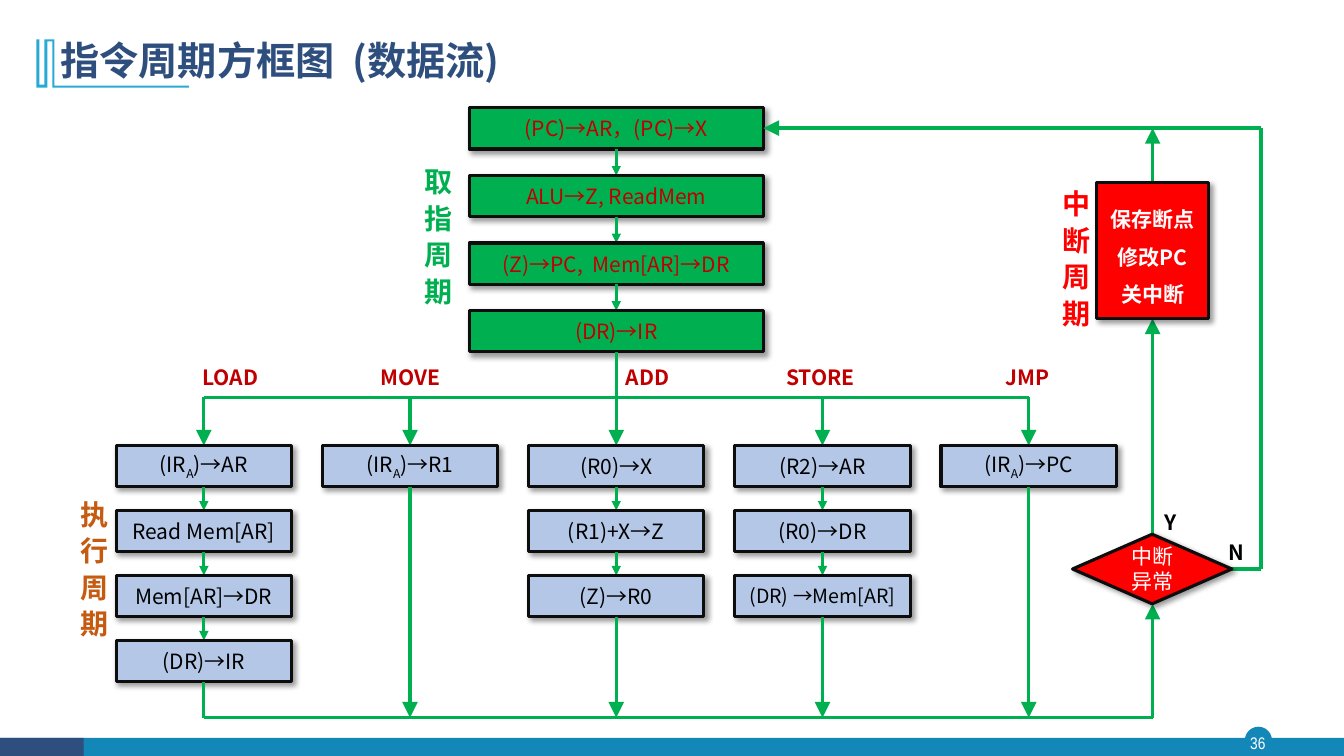
"""Build the instruction cycle flow chart slide (data flow view)."""
from dataclasses import dataclass

from lxml import etree
from pptx import Presentation
from pptx.dml.color import RGBColor
from pptx.enum.shapes import MSO_CONNECTOR, MSO_SHAPE
from pptx.enum.text import MSO_ANCHOR, MSO_AUTO_SIZE, PP_ALIGN
from pptx.oxml.ns import qn
from pptx.util import Pt

RECTANGLE, OVAL = MSO_SHAPE.RECTANGLE, MSO_SHAPE.OVAL
DECISION = MSO_SHAPE.FLOWCHART_DECISION
STRAIGHT = MSO_CONNECTOR.STRAIGHT
LEFT, CENTER = PP_ALIGN.LEFT, PP_ALIGN.CENTER
TOP, MIDDLE = MSO_ANCHOR.TOP, MSO_ANCHOR.MIDDLE
GROW = MSO_AUTO_SIZE.SHAPE_TO_FIT_TEXT


@dataclass(frozen=True)
class Theme:
    """Colours, fonts and type sizes."""
    font: str = "Noto Sans CJK SC"
    number_font: str = "Arial Narrow"
    navy: str = "2E4E7E"
    teal: str = "1387B7"
    sky: str = "28A9D6"
    green: str = "00B050"
    blue: str = "B4C7E7"
    red: str = "FF0000"
    crimson: str = "C00000"
    orange: str = "C55A11"
    outline: str = "0D0D0D"
    black: str = "000000"
    white: str = "FFFFFF"
    title_size: float = 28
    phase_size: float = 20
    body_size: float = 15
    small_size: float = 14
    number_size: float = 12
    line_width: float = 2.25


THEME = Theme()
SUBSCRIPT = {"baseline": "-25000"}
SPREAD = {"spc": "600"}

TITLE = [("指令周期方框图", {}), (" ", {"spc": "630"}), ("(数据流)", {})]
PAGE_NUMBER = "36"
FETCH_STEPS = [
    "(PC)→AR，(PC)→X",
    "ALU→Z, ReadMem",
    [("(Z)→PC,", {}), (" ", {"spc": "340"}), ("Mem[AR]→DR", {})],
    "(DR)→IR",
]


def ir_address(target):
    """Return the spans that move the address part of IR to a target."""
    return [("(IR", {}), ("A", SUBSCRIPT), (")→" + target, {})]


BRANCHES = [
    ("LOAD", 137.5, [ir_address("AR"), "Read Mem[AR]", "Mem[AR]→DR", "(DR)→IR"]),
    ("MOVE", 265, [ir_address("R1")]),
    ("ADD", 440, ["(R0)→X", "(R1)+X→Z", "(Z)→R0"]),
    ("STORE", 554.4, ["(R2)→AR", "(R0)→DR", "(DR) →Mem[AR]"]),
    ("JMP", 711.4, [ir_address("PC")]),
]
SMALL_STEPS = ["(DR) →Mem[AR]"]
INTERRUPT_STEPS = ["保存断点", "修改PC", "关中断"]
DECISION_TEXT = "中断异常"
PHASES = [
    ("执行周期", 43.2, 350.6, THEME.orange),
    ("取指周期", 289.4, 113, THEME.green),
    ("中断周期", 745.2, 128.9, THEME.red),
]
ANSWERS = [("Y", 824.4, 360.7), ("N", 870.5, 381.6)]
ORNAMENT = [
    (38.9, 28.1), (38.9, 61.2), (134.9, 61.2), (134.9, 62.6), (37.4, 62.6),
    (37.4, 29.5), (33.8, 29.5), (33.8, 62.6), (25.9, 62.6), (25.9, 28.1),
    (28.1, 28.1), (28.1, 60.5), (31.7, 60.5), (31.7, 28.1),
]

STEP_HEIGHT = 29.5
FETCH_WIDTH, FETCH_TOP, FETCH_PITCH = 210.2, 77, 48.3
BRANCH_WIDTH, BRANCH_TOP, BRANCH_PITCH = 125.3, 318.2, 46.4
FIRST_CENTER, CENTER_PITCH = 145.6, 147.3
BUS_Y, COLLECT_Y, RETURN_Y = 283.7, 512.6, 91.5
INTERRUPT_X, RETURN_X = 823.3, 900.7
INTERRUPT_BOX = (783.4, 130.3, 79.9, 97.2)
DECISION_BOX = (766.1, 381.6, 113.8, 49.7)


def rgb(colour):
    return RGBColor.from_string(colour)


def write(frame, lines, size, colour, bold=False, align=CENTER, anchor=MIDDLE,
          spacing=None, font=THEME.font):
    """Fill a text frame; a line is a string or a list of (text, attributes)."""
    frame.vertical_anchor = anchor
    for index, line in enumerate(lines):
        para = frame.add_paragraph() if index else frame.paragraphs[0]
        para.alignment = align
        if spacing:
            para.line_spacing = spacing
        for text, attributes in [(line, {})] if isinstance(line, str) else line:
            span = para.add_run()
            span.text = text
            span.font.size, span.font.bold, span.font.name = Pt(size), bold, font
            span.font.color.rgb = rgb(colour)
            properties = span.font._element
            etree.SubElement(properties, qn("a:ea"), typeface=font)
            for name, value in attributes.items():
                properties.set(name, value)


def add_plain(page, kind, area, fill):
    shape = page.shapes.add_shape(kind, *map(Pt, area))
    shape.shadow.inherit = False
    shape.fill.solid()
    shape.fill.fore_color.rgb = rgb(fill)
    shape.line.fill.background()
    return shape


def add_box(page, kind, area, fill, lines, colour, **style):
    """Add an outlined shape with a soft shadow and centred text."""
    box = add_plain(page, kind, area, fill)
    box.line.color.rgb = rgb(THEME.outline)
    box.line.width = Pt(THEME.line_width)
    effects = box._element.spPr.find(qn("a:effectLst"))
    shadow = etree.SubElement(effects, qn("a:outerShdw"), blurRad=str(Pt(4)), dist=str(Pt(3)),
                              dir="2700000", algn="tl", rotWithShape="0")
    shade = etree.SubElement(shadow, qn("a:srgbClr"), val=THEME.black)
    etree.SubElement(shade, qn("a:alpha"), val="40000")
    box.text_frame.word_wrap = True
    write(box.text_frame, lines, style.pop("size", THEME.body_size), colour, **style)


def add_label(page, text, area, size, colour, vertical=False):
    frame = page.shapes.add_textbox(*map(Pt, area)).text_frame
    frame.word_wrap = not vertical
    frame.auto_size = GROW
    if vertical:
        frame._txBody.bodyPr.set("vert", "eaVert")
    write(frame, [[(text, SPREAD if vertical else {})]], size, colour, True, LEFT, TOP)


def add_flow(page, start, end, head=None):
    """Draw a green line whose arrowhead size is None, med or lg."""
    line = page.shapes.add_connector(STRAIGHT, *map(Pt, start + end))
    line.line.color.rgb = rgb(THEME.green)
    line.line.width = Pt(THEME.line_width)
    if head:
        etree.SubElement(line.line._get_or_add_ln(), qn("a:tailEnd"),
                         type="triangle", w=head, len=head)
    etree.SubElement(line._element.spPr, qn("a:effectLst"))


def add_steps(page, steps, center, top, pitch, width, fill, colour):
    """Stack step boxes joined by short arrows and return the lowest edge."""
    for index, step in enumerate(steps):
        y = top + index * pitch
        if index:
            add_flow(page, (center, y - pitch + STEP_HEIGHT), (center, y), "med")
        size = THEME.small_size if step in SMALL_STEPS else THEME.body_size
        add_box(page, RECTANGLE, (center - width / 2, y, width, STEP_HEIGHT),
                fill, [step], colour, size=size)
    return y + STEP_HEIGHT


def add_frame(page):
    add_plain(page, OVAL, (889.2, 519.1, 19.4, 19.4), THEME.teal)
    add_plain(page, RECTANGLE, (0, 527, 960, 13), THEME.teal)
    add_plain(page, RECTANGLE, (0, 527, 59.8, 13), THEME.navy)
    number = page.shapes.add_textbox(*map(Pt, (887, 519.1, 23, 22.3))).text_frame
    number.margin_left = number.margin_right = number.margin_top = number.margin_bottom = 0
    write(number, [PAGE_NUMBER], THEME.number_size, THEME.white, font=THEME.number_font)
    points = [(Pt(x), Pt(y)) for x, y in ORNAMENT]
    builder = page.shapes.build_freeform(*points[0])
    builder.add_line_segments(points[1:], close=True)
    ornament = builder.convert_to_shape()
    ornament.shadow.inherit = False
    ornament.fill.solid()
    ornament.fill.fore_color.rgb = rgb(THEME.sky)
    ornament.line.fill.background()
    title = page.shapes.title
    title.left, title.top, title.width, title.height = map(Pt, (36, 20.2, 828, 49))
    write(title.text_frame, [TITLE], THEME.title_size, THEME.navy, True, LEFT, spacing=0.9)


def add_cycle(page):
    centers = [FIRST_CENTER + i * CENTER_PITCH for i in range(len(BRANCHES))]
    middle = centers[len(centers) // 2]
    fetch_end = add_steps(page, FETCH_STEPS, middle, FETCH_TOP, FETCH_PITCH, FETCH_WIDTH,
                          THEME.green, THEME.crimson)
    add_flow(page, (middle, fetch_end), (middle, BUS_Y))
    add_flow(page, (centers[0], BUS_Y), (centers[-1], BUS_Y))
    for center, (name, left, steps) in zip(centers, BRANCHES):
        add_label(page, name, (left, 257, 80, 24), THEME.body_size, THEME.crimson)
        add_flow(page, (center, BUS_Y), (center, BRANCH_TOP), "lg")
        end = add_steps(page, steps, center, BRANCH_TOP, BRANCH_PITCH, BRANCH_WIDTH,
                        THEME.blue, THEME.black)
        add_flow(page, (center, end), (center, COLLECT_Y), None if center == centers[0] else "lg")
    add_flow(page, (centers[0], COLLECT_Y), (INTERRUPT_X, COLLECT_Y))
    left, top, width, height = DECISION_BOX
    side, save_top = top + height / 2, INTERRUPT_BOX[1]
    add_flow(page, (INTERRUPT_X, COLLECT_Y), (INTERRUPT_X, top + height), "lg")
    add_flow(page, (INTERRUPT_X, top), (INTERRUPT_X, save_top + INTERRUPT_BOX[3]), "lg")
    add_flow(page, (INTERRUPT_X, save_top), (INTERRUPT_X, RETURN_Y), "lg")
    add_flow(page, (left + width, side), (RETURN_X, side))
    add_flow(page, (RETURN_X, side), (RETURN_X, RETURN_Y))
    add_flow(page, (RETURN_X, RETURN_Y), (middle + FETCH_WIDTH / 2, RETURN_Y), "lg")
    add_box(page, RECTANGLE, INTERRUPT_BOX, THEME.red, INTERRUPT_STEPS, THEME.white,
            bold=True, spacing=1.5)
    add_box(page, DECISION, DECISION_BOX, THEME.red, [DECISION_TEXT], THEME.white)
    for text, x, y in ANSWERS:
        add_label(page, text, (x, y, 25, 25), THEME.body_size, THEME.black)
    for text, x, y, colour in PHASES:
        add_label(page, text, (x, y, 38.9, 112.3), THEME.phase_size, colour, vertical=True)


def main():
    deck = Presentation()
    deck.slide_width, deck.slide_height = Pt(960), Pt(540)
    page = deck.slides.add_slide(deck.slide_layouts[5])
    add_frame(page)
    add_cycle(page)
    deck.save("out.pptx")


if __name__ == "__main__":
    main()
